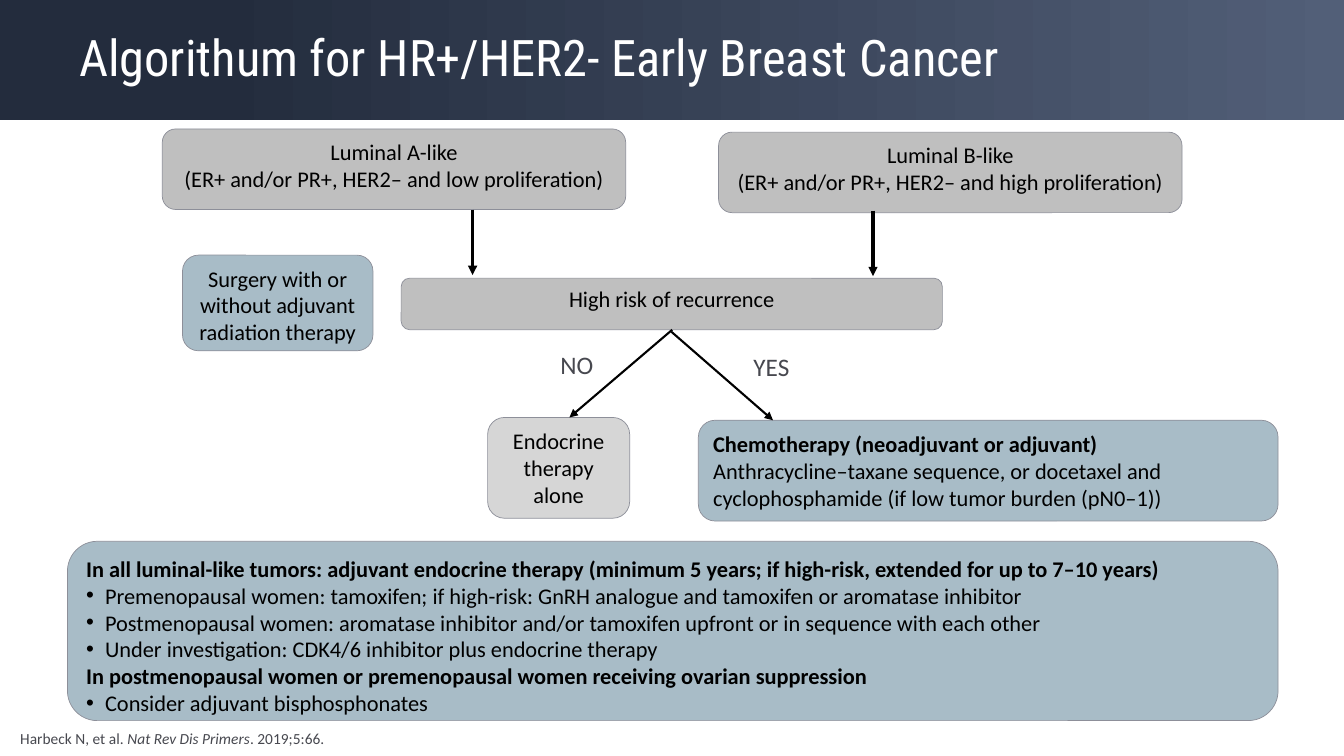
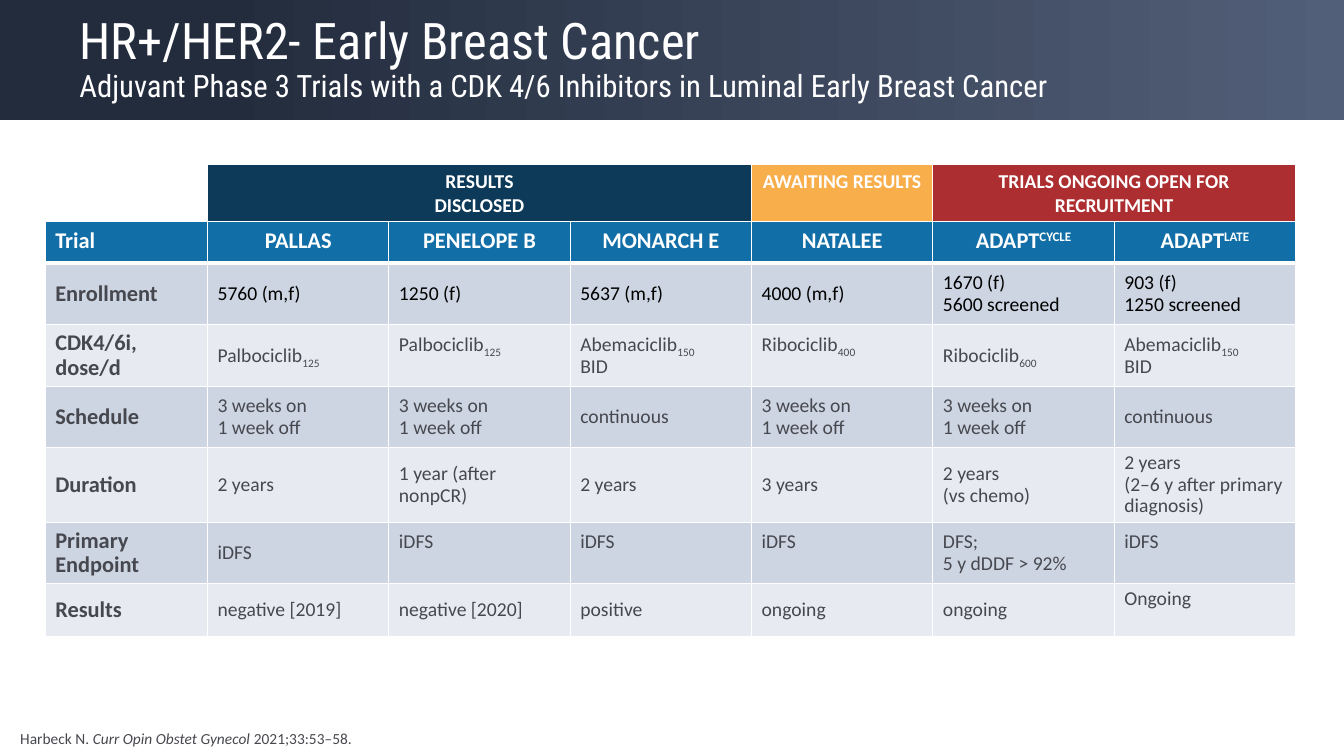
from dataclasses import dataclass
from itertools import accumulate

from pptx import Presentation
from pptx import util as u
from pptx.dml import color as dml
from pptx.enum import shapes, text
from pptx.oxml import ns, xmlchemy

MID = text.MSO_ANCHOR.MIDDLE
TOP = text.MSO_ANCHOR.TOP
LOW = text.MSO_ANCHOR.BOTTOM
LEFT = text.PP_ALIGN.LEFT
MIDST = text.PP_ALIGN.CENTER
RECT = shapes.MSO_SHAPE.RECTANGLE
ROUND = shapes.MSO_SHAPE.ROUNDED_RECTANGLE
BOLD, ITAL = {"bold": True}, {"italic": True}
SIDES = ("a:lnL", "a:lnR", "a:lnT", "a:lnB")


class Theme:
    white, black, ink = "FFFFFF", "000000", "47484F"
    dark, slate, edge = "232C3D", "525F78", "8D8F99"
    blue, grey = "7897A8", "BFBFBF"
    navy, amber, red = "0E3A59", "F9AE4C", "AD2E30"
    head, odd, even = "116EA7", "CCD5E1", "E7EBF1"

    title = {"name": "Roboto Condensed", "size": 36, "color": white}
    cite = {"name": "Calibri", "size": 11, "color": ink}
    body = {"name": "Calibri", "size": 16, "color": black}
    label = {**body, "size": 18, "color": ink}
    banner = {**body, "size": 14, "color": white, **BOLD}
    top_row = {**banner, "size": 16}
    first = {**top_row, "color": ink}
    cell = {**body, "size": 14, "color": ink}


@dataclass
class Point:
    """A bulleted paragraph."""
    words: str


def rgb(code):
    return dml.RGBColor.from_string(code)


def add(parent, tag, **values):
    child = xmlchemy.OxmlElement(tag)
    for key, value in values.items():
        child.set(key, str(value))
    parent.append(child)
    return child


def style(run, look):
    """Apply a look; base is a raise or drop in percent."""
    for key, value in look.items():
        if key == "color":
            run.font.color.rgb = rgb(value)
        elif key == "base":
            run._r.get_or_add_rPr().set("baseline", str(value * 1000))
        else:
            setattr(run.font, key, u.Pt(value) if key == "size" else value)


def write(frame, paras, look, anchor=TOP, **form):
    """Fill a frame; a paragraph is a string, a Point or a list of (words, changes)."""
    frame.word_wrap = True
    frame.vertical_anchor = anchor
    if isinstance(paras, str):
        paras = paras.split("\n")
    for i, para in enumerate(paras):
        p = frame.add_paragraph() if i else frame.paragraphs[0]
        if isinstance(para, Point):
            props = p._p.get_or_add_pPr()
            props.set("marL", str(u.Cm(0.48)))
            props.set("indent", str(-u.Cm(0.48)))
            add(props, "a:buFont", typeface="Arial")
            add(props, "a:buChar", char="•")
            para = para.words
        for key, value in form.items():
            setattr(p, key, value)
        for words, change in [(para, {})] if isinstance(para, str) else para:
            run = p.add_run()
            run.text = words
            style(run, {**look, **change})


def inset(frame, *sizes):
    for side, size in zip(("left", "top", "right", "bottom"), sizes):
        setattr(frame, "margin_" + side, u.Cm(size))


class Deck:
    wide, high = 33.87, 19.05

    def __init__(self):
        self.prs = Presentation()
        self.prs.slide_width = u.Cm(self.wide)
        self.prs.slide_height = u.Cm(self.high)

    def page(self, title, source):
        """Start a slide with its band, title and source line."""
        self.slide = self.prs.slides.add_slide(self.prs.slide_layouts[6])
        band = self.shape(RECT, (0, 0, self.wide, 3.02))
        band.fill.gradient()
        band.fill.gradient_angle = 0
        stops = (0.16, Theme.dark), (1, Theme.slate)
        for stop, (place, code) in zip(band.fill.gradient_stops, stops):
            stop.position = place
            stop.color.rgb = rgb(code)
        frame = self.text((2, 0.36, 29.87, 2.31), title, Theme.title,
                          anchor=MID, line_spacing=0.9)
        inset(frame, 0, 0, 0, 0)
        frame = self.text((0, 18.29, self.wide, 0.76), [source], Theme.cite,
                          anchor=LOW, space_after=u.Pt(6))
        inset(frame, 0.51, 0.1, 0.51, 0.2)

    def text(self, box, paras, look, **form):
        frame = self.slide.shapes.add_textbox(*map(u.Cm, box)).text_frame
        write(frame, paras, look, **form)
        return frame

    def shape(self, kind, box, fill=None, line=None, width=0.5):
        item = self.slide.shapes.add_shape(kind, *map(u.Cm, box))
        item.shadow.inherit = False
        if fill:
            item.fill.solid()
            item.fill.fore_color.rgb = rgb(fill)
        if line:
            item.line.color.rgb = rgb(line)
            item.line.width = u.Pt(width)
        else:
            item.line.fill.background()
        return item

    def card(self, box, paras, fill=Theme.grey, clear=False, align=MIDST):
        item = self.shape(ROUND, box, fill, Theme.edge)
        if clear:
            tint = item._element.spPr.find(ns.qn("a:solidFill"))[0]
            add(tint, "a:alpha", val=64000)
        write(item.text_frame, paras, Theme.body, alignment=align)

    def banner(self, box, words, fill):
        item = self.shape(RECT, box, fill, Theme.white, 0.75)
        write(item.text_frame, words, Theme.banner, alignment=MIDST)

    def arrow(self, start, end, width):
        item = self.slide.shapes.add_connector(
            shapes.MSO_CONNECTOR.STRAIGHT, *map(u.Cm, start + end))
        item.line.color.rgb = rgb(Theme.black)
        item.line.width = u.Pt(width)
        props = item._element.spPr
        add(props.find(ns.qn("a:ln")), "a:tailEnd", type="triangle")
        add(props, "a:effectLst")

    def table(self, left, top, cols, rows, cells, raised):
        """Draw the grid; raised cells hold their text one half line higher."""
        box = map(u.Cm, (left, top, sum(cols), sum(rows)))
        grid = self.slide.shapes.add_table(len(rows), len(cols), *box).table
        grid.first_row = grid.horz_banding = False
        for parts, sizes, key in ((grid.columns, cols, "width"),
                                  (grid.rows, rows, "height")):
            for part, size in zip(parts, sizes):
                setattr(part, key, u.Cm(size))
        for r, row in enumerate(cells):
            for c, paras in enumerate(row):
                self.cell(grid.cell(r, c), r, c, paras)
                if (r, c) in raised:
                    grid.cell(r, c).margin_bottom = u.Cm(0.66)

    def cell(self, cell, r, c, paras):
        for side in SIDES:
            thick = (r, side) in ((0, "a:lnB"), (1, "a:lnT"))
            line = add(cell._tc.get_or_add_tcPr(), side,
                       w=u.Pt(3 if thick else 1))
            add(add(line, "a:solidFill"), "a:srgbClr", val=Theme.white)
        cell.fill.solid()
        shade = Theme.odd if r % 2 else Theme.even
        cell.fill.fore_color.rgb = rgb(shade if r else Theme.head)
        look = Theme.first if c == 0 else Theme.cell
        if r == 1 and c:
            look = {**look, "color": Theme.black}
        if r:
            write(cell.text_frame, paras, look, line_spacing=0.9)
            cell.vertical_anchor = MID
        else:
            write(cell.text_frame, paras, Theme.top_row,
                  alignment=MIDST if c else LEFT)


def choice(deck):
    """Build the slide with the treatment flow."""
    deck.page("Algorithum for HR+/HER2- Early Breast Cancer",
              [("Harbeck N, et al. ", {}), ("Nat Rev Dis Primers", ITAL),
               (". 2019;5:66.", {})])
    blue = {"fill": Theme.blue, "clear": True}
    deck.card((17.6, 10.59, 14.61, 2.54), [
        [("Chemotherapy (neoadjuvant or adjuvant)", BOLD)],
        "Anthracycline–taxane sequence, or docetaxel and "
        "cyclophosphamide (if low tumor burden (pN0–1))"], align=LEFT, **blue)
    deck.card((1.7, 13.64, 30.51, 4.52), [
        [("In all luminal-like tumors: adjuvant endocrine therapy (minimum "
          "5 years; if high-risk, extended for up to 7–10 years)", BOLD)],
        Point("Premenopausal women: tamoxifen; if high-risk: GnRH analogue "
              "and tamoxifen or aromatase inhibitor"),
        Point("Postmenopausal women: aromatase inhibitor and/or tamoxifen "
              "upfront or in sequence with each other"),
        Point("Under investigation: CDK4/6 inhibitor plus endocrine therapy"),
        [("In postmenopausal women or premenopausal women receiving "
          "ovarian suppression", BOLD)],
        Point("Consider adjuvant bisphosphonates")], align=LEFT, **blue)
    for x, y, kind, rate in ((4.09, 3.25, "A", "low"), (18.11, 3.33, "B", "high")):
        deck.card((x, y, 11.68, 2.03), f"Luminal {kind}-like\n"
                  f"(ER+ and/or PR+, HER2– and {rate} proliferation)")
    deck.card((10.11, 7.01, 13.64, 1.3), "High risk of recurrence")
    deck.card((4.6, 6.43, 4.8, 2.41),
              "Surgery with or without adjuvant radiation therapy", **blue)
    deck.card((12.29, 10.52, 3.58, 2.54), "Endocrine therapy alone", clear=True)
    for start, end, width in (((22, 5.31), (22, 6.96), 2.25),
                              ((11.91, 5.28), (11.91, 6.93), 2.25),
                              ((16.94, 8.31), (14.35, 10.52), 1.5),
                              ((16.92, 8.36), (19.48, 10.59), 1.5)):
        deck.arrow(start, end, width)
    for x, y, word in ((13.64, 8.69, "NO"), (18.54, 8.74, "YES")):
        deck.text((x, y, 1.8, 1.02), word, Theme.label, alignment=MIDST)


def trials(deck):
    """Build the slide with the trial table."""
    deck.page(["HR+/HER2- Early Breast Cancer",
               [("Adjuvant Phase 3 Trials with a CDK 4/6 Inhibitors in "
                 "Luminal Early Breast Cancer", {"size": 22})]],
              [("Harbeck N. ", {}), ("Curr Opin Obstet Gynecol ", ITAL),
               ("2021;33:53–58.", {})])

    def adapt(arm):
        return [[("ADAPT", {}), (arm, {"base": 30})]]

    def dose(drug, mass, *rest):
        return [[(drug, {}), (mass, {"base": -25})], *rest]

    weeks = "3 weeks on\n1 week off"
    palbo = dose("Palbociclib", "125")
    abema = dose("Abemaciclib", "150", "BID")
    cells = [
        ["Trial", "PALLAS", "PENELOPE B", "MONARCH E", "NATALEE",
         adapt("CYCLE"), adapt("LATE")],
        ["Enrollment", "5760 (m,f)", "1250 (f)", "5637 (m,f)", "4000 (m,f)",
         "1670 (f)\n5600 screened", "903 (f)\n1250 screened"],
        ["CDK4/6i, dose/d", palbo, palbo, abema, dose("Ribociclib", "400"),
         dose("Ribociclib", "600"), abema],
        ["Schedule", weeks, weeks, "continuous", weeks, weeks, "continuous"],
        ["Duration", "2 years", "1 year (after nonpCR)", "2 years", "3 years",
         "2 years\n(vs chemo)", "2 years\n(2–6 y after primary diagnosis)"],
        ["Primary Endpoint", "iDFS", "iDFS", "iDFS", "iDFS",
         "DFS;\n5 y dDDF > 92%", "iDFS"],
        ["Results", "negative [2019]", "negative [2020]", "positive",
         "ongoing", "ongoing", "Ongoing"]]
    left, top, first, col = 1.14, 5.59, 4.09, 4.57
    raised = {(2, 2), (2, 4), (5, 2), (5, 3), (5, 4), (5, 6), (6, 6)}
    deck.table(left, top, [first] + [col] * 6,
               [1.04, 1.55, 1.55, 1.55, 1.88, 1.55, 1.32], cells, raised)
    groups = ((3, "RESULTS\nDISCLOSED", Theme.navy),
              (1, "AWAITING RESULTS", Theme.amber),
              (2, "TRIALS ONGOING OPEN FOR RECRUITMENT", Theme.red))
    ends = accumulate(span for span, *_ in groups)
    for end, (span, words, fill) in zip(ends, groups):
        x = left + first + (end - span) * col
        deck.banner((x, top - 1.45, span * col, 1.45), words, fill)


def main():
    deck = Deck()
    choice(deck)
    trials(deck)
    deck.prs.save("out.pptx")


if __name__ == "__main__":
    main()
